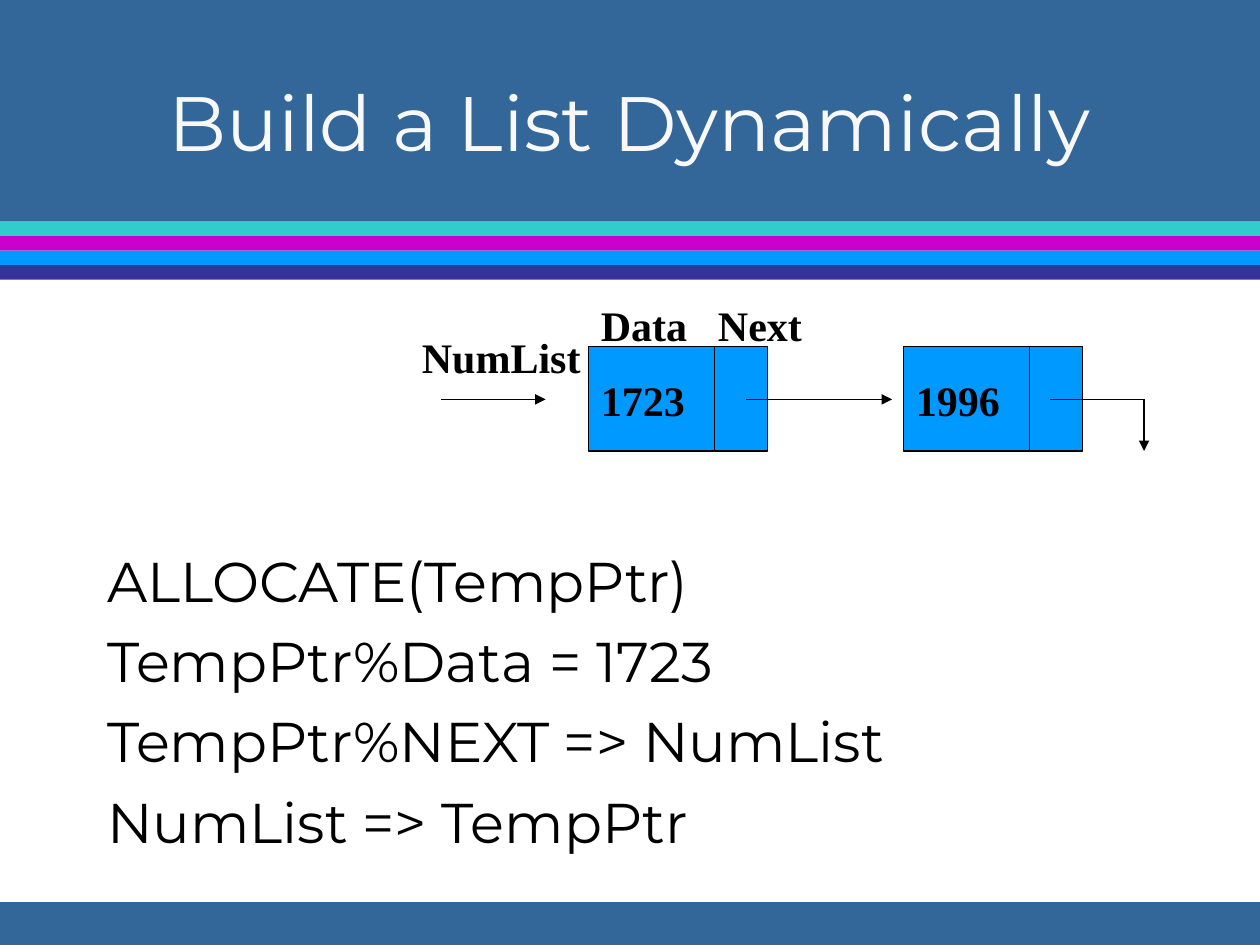
from dataclasses import dataclass

from lxml import etree
from pptx import Presentation
from pptx.dml.color import RGBColor
from pptx.enum.shapes import MSO_CONNECTOR, MSO_SHAPE
from pptx.enum.text import MSO_ANCHOR, MSO_AUTO_SIZE, PP_ALIGN
from pptx.oxml.ns import qn
from pptx.util import Inches, Pt

RECTANGLE = MSO_SHAPE.RECTANGLE
STRAIGHT = MSO_CONNECTOR.STRAIGHT
MIDDLE, BOTTOM = MSO_ANCHOR.MIDDLE, MSO_ANCHOR.BOTTOM
CENTER, LEFT = PP_ALIGN.CENTER, PP_ALIGN.LEFT
NO_AUTOFIT, GROW = MSO_AUTO_SIZE.NONE, MSO_AUTO_SIZE.SHAPE_TO_FIT_TEXT


@dataclass(frozen=True)
class Theme:
    back: str = "969696"
    paper: str = "FFFFFF"
    header: str = "336699"
    stripes: tuple = ("33CCCC", "CC00CC", "0099FF", "333399")
    node: str = "0099FF"
    ink: str = "000000"
    title_ink: str = "F8F8F8"
    text_font: str = "Montserrat"
    label_font: str = "Times New Roman"
    title_size: float = 44
    body_size: float = 32
    label_size: float = 24
    line_width: float = 0.75


THEME = Theme()
CODE_LINES = (
    "ALLOCATE(TempPtr)",
    "TempPtr%Data = 1723",
    "TempPtr%NEXT => NumList",
    "NumList => TempPtr",
)


def color(value):
    return RGBColor.from_string(value)


def place(shape, left, top, width, height):
    shape.left, shape.top = Inches(left), Inches(top)
    shape.width, shape.height = Inches(width), Inches(height)


def add_span(para, text, font, size, ink, bold=False):
    span = para.add_run()
    span.text = text
    span.font.name = font
    span.font.size = Pt(size)
    span.font.bold = bold
    span.font.color.rgb = color(ink)


def add_rectangle(page, left, top, width, height, fill, outline=None):
    box = page.shapes.add_shape(
        RECTANGLE, Inches(left), Inches(top), Inches(width), Inches(height))
    box.shadow.inherit = False
    box.fill.solid()
    box.fill.fore_color.rgb = color(fill)
    if outline:
        box.line.color.rgb = color(outline)
        box.line.width = Pt(THEME.line_width)
    else:
        box.line.fill.background()


def add_line(page, start, end, arrow=False):
    line = page.shapes.add_connector(
        STRAIGHT, *(Inches(value) for value in (*start, *end)))
    line.line.color.rgb = color(THEME.ink)
    line.line.width = Pt(THEME.line_width)
    if arrow:
        etree.SubElement(line.line._get_or_add_ln(), qn("a:tailEnd"), type="triangle")
    etree.SubElement(line.element.spPr, qn("a:effectLst"))


def add_label(page, text, left, top, width, tab=None):
    """Add a bold label, with an optional tab stop in inches."""
    box = page.shapes.add_textbox(
        Inches(left), Inches(top), Inches(width), Inches(0.5))
    frame = box.text_frame
    frame.word_wrap = True
    frame.auto_size = GROW
    para = frame.paragraphs[0]
    if tab:
        stops = etree.SubElement(para._p.get_or_add_pPr(), qn("a:tabLst"))
        etree.SubElement(stops, qn("a:tab"), pos=str(Inches(tab)), algn="l")
    add_span(para, text, THEME.label_font, THEME.label_size, THEME.ink, bold=True)


def draw_backdrop(page, width, height):
    page.background.fill.solid()
    page.background.fill.fore_color.rgb = color(THEME.back)
    header, footer, stripe = 1.76, 0.34, 0.115
    add_rectangle(page, 0, 1.5, width, height - 1.5, THEME.paper)
    add_rectangle(page, 0, height - footer, width, footer, THEME.header)
    add_rectangle(page, 0, 0, width, header, THEME.header)
    for index, fill in enumerate(THEME.stripes):
        add_rectangle(page, 0, header + index * stripe, width, stripe, fill)
    for holder in page.placeholders:
        holder.element.getparent().append(holder.element)


def fill_title(title, text, left, top, width, height):
    place(title, left, top, width, height)
    frame = title.text_frame
    frame.auto_size = NO_AUTOFIT
    frame.vertical_anchor = MIDDLE
    para = frame.paragraphs[0]
    para.alignment = CENTER
    add_span(para, text, THEME.text_font, THEME.title_size, THEME.title_ink)


def fill_code(body, lines, left, top, width, height):
    place(body, left, top, width, height)
    frame = body.text_frame
    frame.auto_size = NO_AUTOFIT
    frame.vertical_anchor = BOTTOM
    for index, text in enumerate(lines):
        para = frame.paragraphs[0] if index == 0 else frame.add_paragraph()
        para.alignment = LEFT
        para.space_before = Pt(7.3 if index else 0)
        properties = para._p.get_or_add_pPr()
        properties.set("marL", str(Inches(0.38)))
        properties.set("indent", str(-Inches(0.38)))
        etree.SubElement(properties, qn("a:buNone"))
        add_span(para, text, THEME.text_font, THEME.body_size, THEME.ink)


def draw_node(page, value, left, top, width, height):
    """Draw a list node: a data cell and a narrower pointer cell."""
    divider = left + 1
    add_rectangle(page, left, top, width, height, THEME.node, THEME.ink)
    add_line(page, (divider, top), (divider, top + height))
    add_label(page, value, left, top + 0.17, 1.08)


def draw_list(page, left, top):
    """Draw the linked list, from the NumList pointer to the ending link."""
    node_width, node_height = 1.42, 0.83
    first, second = left + 1.42, left + 3.92
    middle, bottom = top + 0.42, top + node_height
    end = second + 1.91

    draw_node(page, "1996", second, top, node_width, node_height)
    add_line(page, (second + 1.16, middle), (end, middle))
    add_line(page, (end, middle), (end, bottom), arrow=True)
    draw_node(page, "1723", first, top, node_width, node_height)
    add_label(page, "NumList", left, top - 0.17, 1.58)
    add_line(page, (left + 0.25, middle), (left + 1.08, middle), arrow=True)
    add_line(page, (first + 1.25, middle), (second - 0.09, middle), arrow=True)
    add_label(page, "Data\tNext", first, top - 0.42, 1.83, tab=0.93)


def main():
    deck = Presentation()
    deck.slide_width, deck.slide_height = Inches(10), Inches(7.5)
    page = deck.slides.add_slide(deck.slide_layouts[1])
    draw_backdrop(page, 10, 7.5)
    fill_title(page.shapes.title, "Build a List Dynamically", 0.75, 0.33, 8.5, 1.25)
    fill_code(page.placeholders[1], CODE_LINES, 0.75, 2.33, 8.5, 4.5)
    draw_list(page, 3.25, 2.75)
    deck.save("out.pptx")


if __name__ == "__main__":
    main()
